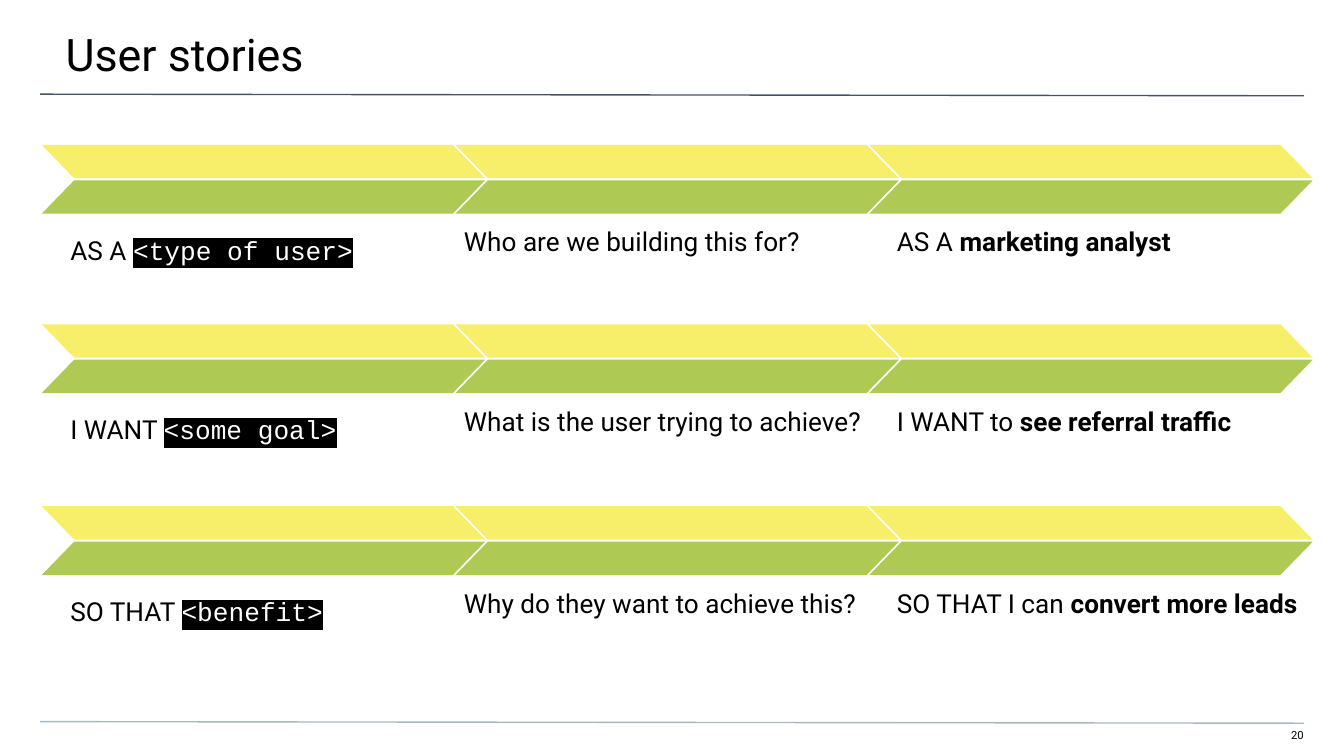
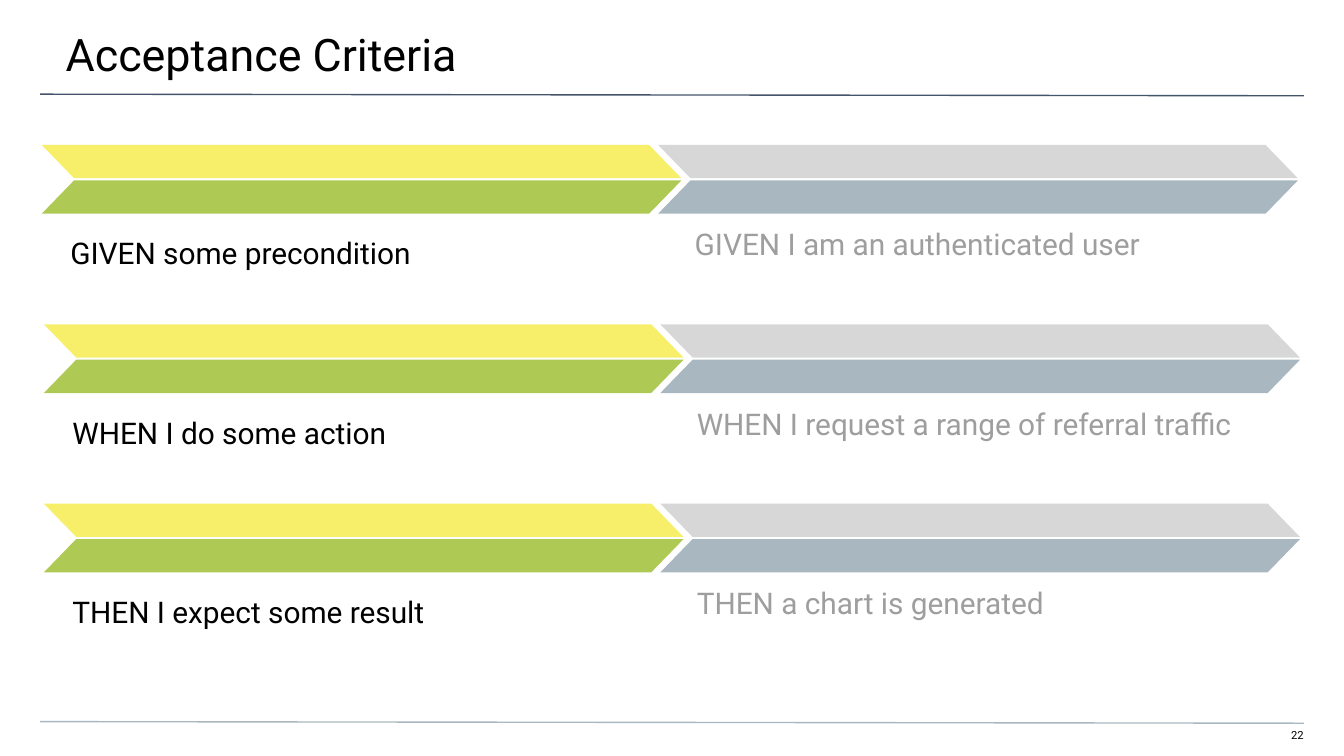
from lxml.etree import SubElement
from pptx import Presentation
from pptx.dml.color import RGBColor
from pptx.enum.shapes import MSO_CONNECTOR, MSO_SHAPE
from pptx.enum.text import MSO_ANCHOR, MSO_AUTO_SIZE, PP_ALIGN
from pptx.oxml.ns import qn
from pptx.util import Cm, Pt

COLORS = {
    "text": "000000",
    "code": "FFFFFF",
    "muted": "9E9E9E",
    "header_rule": "44546A",
    "footer_rule": "A9B7C0",
    "yellow": "F7EF6A",
    "green": "AFCA54",
    "silver": "D4D4D4",
    "slate": "A9B7C0",
}
FONT = "Roboto"
CODE_FONT = "Courier New"
TITLE_ONLY = 5
BAND_LEFT = 0.79
BAR_HEIGHT = 0.63
BAR_PITCH = 0.67
BAR_SLANT = 0.97
TEXT_HEIGHT = 1.04
PROMPT_DROP = 1.35
ANSWER_DROP = 1.28


def rgb(name):
    return RGBColor.from_string(COLORS[name])


class Deck:
    def __init__(self):
        self.presentation = Presentation()
        self.presentation.slide_width = Cm(25.4)
        self.presentation.slide_height = Cm(14.29)
        self.slide = None

    def start_slide(self, heading, number):
        layout = self.presentation.slide_layouts[TITLE_ONLY]
        self.slide = self.presentation.slides.add_slide(layout)
        self.rule(1.78, "header_rule")
        self.rule(13.64, "footer_rule")
        self.page_number(number)
        self.title(heading)

    def rule(self, top, color):
        line = self.slide.shapes.add_connector(
            MSO_CONNECTOR.STRAIGHT, Cm(0.76), Cm(top), Cm(24.64), Cm(top + 0.03)
        )
        line.line.color.rgb = rgb(color)
        line.line.width = Pt(0.75)
        SubElement(line._element.spPr, qn("a:effectLst"))

    def title(self, heading):
        title = self.slide.shapes.title
        title.left, title.top = Cm(-0.03), Cm(0)
        title.width, title.height = Cm(25.48), Cm(1.47)
        title.text_frame.text = heading
        self.frame(title.text_frame, 1.27, 0.51, 0.76, 0.25)
        paragraph = title.text_frame.paragraphs[0]
        paragraph.alignment = PP_ALIGN.LEFT
        self.style(paragraph.runs[0], 24)

    def page_number(self, number):
        box = self.slide.shapes.add_textbox(Cm(23.9), Cm(13.77), Cm(0.74), Cm(0.3))
        box.text_frame.text = str(number)
        self.frame(box.text_frame, 0, 0, 0, 0.25)
        paragraph = box.text_frame.paragraphs[0]
        paragraph.alignment = PP_ALIGN.RIGHT
        self.style(paragraph.runs[0], 6)

    def frame(self, frame, left, top, right, bottom):
        frame.margin_left, frame.margin_top = Cm(left), Cm(top)
        frame.margin_right, frame.margin_bottom = Cm(right), Cm(bottom)
        frame.word_wrap = True
        frame.auto_size = MSO_AUTO_SIZE.NONE
        frame.vertical_anchor = MSO_ANCHOR.TOP

    def style(self, run, size, color="text", font=FONT, bold=False):
        run.font.size = Pt(size)
        run.font.name = font
        run.font.bold = bold
        run.font.color.rgb = rgb(color)

    def highlight(self, run, color):
        properties = run._r.get_or_add_rPr()
        mark = SubElement(properties, qn("a:highlight"))
        SubElement(mark, qn("a:srgbClr"), val=COLORS[color])
        properties.find(qn("a:solidFill")).addnext(mark)

    def bar(self, left, top, width, color, flipped=False, opacity=100):
        bar = self.slide.shapes.add_shape(
            MSO_SHAPE.PARALLELOGRAM, Cm(left), Cm(top), Cm(width), Cm(BAR_HEIGHT)
        )
        bar.adjustments[0] = BAR_SLANT
        bar.shadow.inherit = False
        bar.fill.solid()
        bar.fill.fore_color.rgb = rgb(color)
        bar.line.fill.background()
        properties = bar._element.spPr
        if flipped:
            properties.find(qn("a:xfrm")).set("flipH", "1")
        if opacity < 100:
            fill = properties.find(qn("a:solidFill"))
            SubElement(fill[0], qn("a:alpha"), val=str(opacity * 1000))

    def chevron(self, left, top, width, upper="yellow", lower="green", opacity=100):
        self.bar(left, top, width, upper, flipped=True, opacity=opacity)
        self.bar(left, top + BAR_PITCH, width, lower)

    def caption(self, left, top, width, size, lead, code="", strong="",
                color="text", prompt=False):
        drop = PROMPT_DROP if prompt else ANSWER_DROP
        box = self.slide.shapes.add_textbox(
            Cm(left), Cm(top + drop), Cm(width), Cm(TEXT_HEIGHT)
        )
        box.text_frame.text = lead
        self.frame(box.text_frame, 0.25, 0.25, 0.25, 0)
        paragraph = box.text_frame.paragraphs[0]
        if prompt:
            paragraph.line_spacing = 1.15
        else:
            paragraph.space_after = Pt(16)
        self.style(paragraph.runs[0], size, color)
        if code:
            placeholder = paragraph.add_run()
            placeholder.text = code
            self.style(placeholder, size, "code", CODE_FONT)
            self.highlight(placeholder, "text")
        if strong:
            example = paragraph.add_run()
            example.text = strong
            self.style(example, size, color, bold=True)

    def save(self):
        self.presentation.save("out.pptx")


def user_stories(deck):
    deck.start_slide("User stories", 20)
    size, width, pitch = 14, 8.38, 7.82
    question_left, example_left = 8.52, 16.7
    stories = [
        (2.74, "AS A ", "<type of user>", "Who are we building this for?",
         "AS A ", "marketing analyst"),
        (6.13, "I WANT ", "<some goal>", "What is the user trying to achieve?",
         "I WANT to ", "see referral traffic"),
        (9.57, "SO THAT ", "<benefit>", "Why do they want to achieve this?",
         "SO THAT I can ", "convert more leads"),
    ]
    for top, keyword, placeholder, question, lead, example in stories:
        for column in range(3):
            deck.chevron(BAND_LEFT + column * pitch, top, width)
        deck.caption(question_left, top, 8.5, size, question)
        deck.caption(1.08, top, 7.24, size, keyword, code=placeholder, prompt=True)
        deck.caption(example_left, top, 8.5, size, lead, strong=example)


def acceptance_criteria(deck):
    deck.start_slide("Acceptance Criteria", 22)
    size, width, pitch = 16, 12.09, 11.65
    first_top, row_pitch = 2.74, 3.39
    criteria = [
        (0, "GIVEN some precondition", "GIVEN I am an authenticated user"),
        (0.04, "WHEN I do some action", "WHEN I request a range of referral traffic"),
        (0.04, "THEN I expect some result", "THEN a chart is generated"),
    ]
    for row, (indent, pattern, example) in enumerate(criteria):
        top = first_top + row * row_pitch
        left = BAND_LEFT + indent
        deck.chevron(left, top, width)
        deck.chevron(left + pitch, top, width, "silver", "slate", opacity=91)
        deck.caption(left + 12.09, top, 11, size, example, color="muted")
        deck.caption(left + 0.29, top, 10.34, size, pattern, prompt=True)


def main():
    deck = Deck()
    user_stories(deck)
    acceptance_criteria(deck)
    deck.save()


if __name__ == "__main__":
    main()
